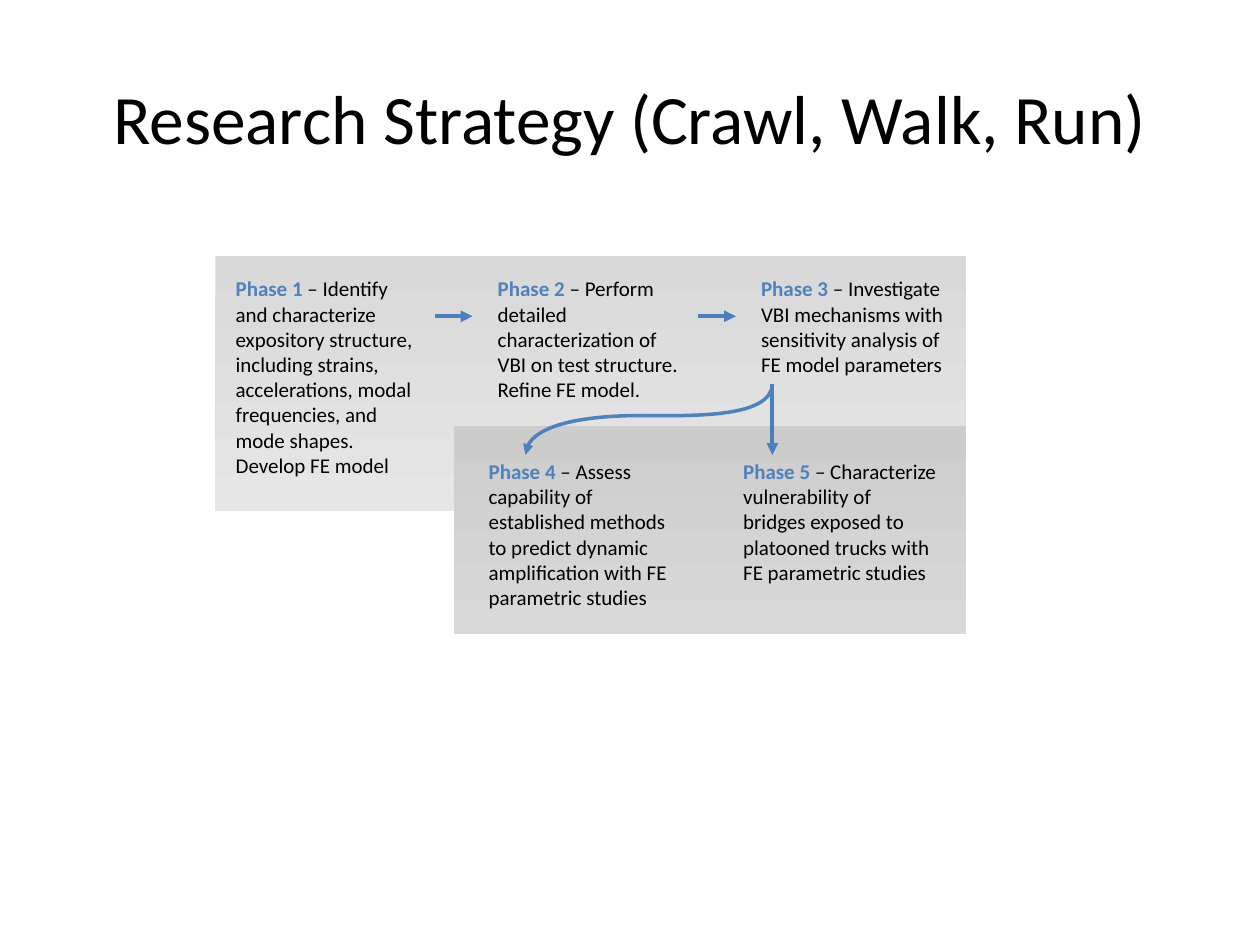
from dataclasses import dataclass

from lxml.etree import SubElement
from pptx import Presentation
from pptx.dml.color import RGBColor
from pptx.enum.shapes import MSO_CONNECTOR, MSO_SHAPE
from pptx.enum.text import MSO_ANCHOR, MSO_AUTO_SIZE, PP_ALIGN
from pptx.oxml.ns import qn
from pptx.shapes.base import BaseShape
from pptx.shapes.shapetree import GroupShapes
from pptx.text.text import Font
from pptx.util import Pt

SCALE = 9144
FONT = "Calibri"
COLORS = {
    "text": "000000",
    "phase": "4F81BD",
    "arrow": "4B7EBC",
    "curve": "4F81BD",
    "light": "E6E6E6",
    "mid": "D9D9D9",
    "dark": "CCCCCC",
}


@dataclass
class Panel:
    left: int
    top: int
    width: int
    height: int
    start: str
    end: str


@dataclass
class Phase:
    label: str
    text: str
    left: int
    top: int
    width: int
    height: int
    inset: int


@dataclass
class Arrow:
    x1: int
    y1: int
    x2: int
    y2: int


PANELS = [
    Panel(171, 203, 596, 203, "mid", "light"),
    Panel(360, 338, 407, 165, "dark", "mid"),
]
PHASES = [
    Phase("Phase 1", " – Identify and characterize expository structure, including strains, "
          "accelerations, modal frequencies, and mode shapes. Develop FE model",
          167, 214, 179, 75, 20),
    Phase("Phase 2", " – Perform detailed characterization of VBI on test structure. "
          "Refine FE model.", 375, 214, 179, 59, 20),
    Phase("Phase 3", " – Investigate VBI mechanisms with sensitivity analysis of "
          "FE model parameters", 584, 214, 179, 59, 20),
    Phase("Phase 4", " – Assess capability of established methods to predict dynamic "
          "amplification with FE parametric studies", 378, 359, 174, 59, 10),
    Phase("Phase 5", " – Characterize vulnerability of bridges exposed to platooned trucks "
          "with FE parametric studies", 580, 359, 174, 59, 10),
]
ARROWS = [
    Arrow(345, 251, 375, 251),
    Arrow(554, 251, 584, 251),
    Arrow(613, 305, 613, 361),
]
START = (613, 305)
BENDS = [
    ((612, 330), (558, 330), (521, 330)),
    ((483, 329), (418, 333), (417, 361)),
]


def px(size: int) -> int:
    return size * SCALE


def color(name: str) -> RGBColor:
    return RGBColor.from_string(COLORS[name])


def style_font(font: Font, size: float, name: str, bold: bool = False) -> None:
    font.name = FONT
    font.size = Pt(size)
    font.bold = bold
    font.color.rgb = color(name)


def style_line(shape: BaseShape, name: str, width: float) -> None:
    shape.line.color.rgb = color(name)
    shape.line.width = Pt(width)
    line = shape.element.spPr.find(qn("a:ln"))
    SubElement(line, qn("a:tailEnd"), type="triangle")


def draw_panel(shapes: GroupShapes, panel: Panel) -> None:
    shape = shapes.add_shape(MSO_SHAPE.RECTANGLE, px(panel.left), px(panel.top),
                             px(panel.width), px(panel.height))
    shape.shadow.inherit = False
    shape.line.fill.background()
    shape.fill.gradient()
    shape.fill.gradient_angle = 270
    for stop, name in zip(shape.fill.gradient_stops, (panel.start, panel.end)):
        stop.color.rgb = color(name)


def draw_phase(shapes: GroupShapes, phase: Phase) -> None:
    box = shapes.add_textbox(px(phase.left), px(phase.top), px(phase.width), px(phase.height))
    frame = box.text_frame
    frame.word_wrap = True
    frame.auto_size = MSO_AUTO_SIZE.SHAPE_TO_FIT_TEXT
    frame.margin_left = px(phase.inset)
    label, body = frame.paragraphs[0].add_run(), frame.paragraphs[0].add_run()
    label.text, body.text = phase.label, phase.text
    style_font(label.font, 12, "phase", True)
    style_font(body.font, 12, "text")


def draw_arrow(shapes: GroupShapes, arrow: Arrow) -> None:
    line = shapes.add_connector(MSO_CONNECTOR.STRAIGHT, px(arrow.x1), px(arrow.y1),
                                px(arrow.x2), px(arrow.y2))
    style_line(line, "arrow", 2.25)
    SubElement(line.element.spPr, qn("a:effectLst"))


def draw_curve(shapes: GroupShapes) -> None:
    pen = shapes.build_freeform(*START, scale=SCALE)
    pen.add_line_segments([bend[-1] for bend in BENDS], close=False)
    curve = pen.convert_to_shape()
    left, top = BENDS[-1][-1][0], START[1]
    for step, bend in zip(list(curve.element.iter(qn("a:lnTo"))), BENDS):
        step.tag = qn("a:cubicBezTo")
        for child in list(step):
            step.remove(child)
        for x, y in bend:
            SubElement(step, qn("a:pt"), x=str(x - left), y=str(y - top))
    curve.shadow.inherit = False
    curve.fill.background()
    style_line(curve, "curve", 2)


def main() -> None:
    deck = Presentation()
    deck.slide_width, deck.slide_height = px(1000), px(750)
    slide = deck.slides.add_slide(deck.slide_layouts[5])

    title = slide.shapes.title
    title.left, title.top, title.width, title.height = map(px, (50, 30, 900, 125))
    frame = title.text_frame
    frame.text = "Research Strategy (Crawl, Walk, Run)"
    frame.vertical_anchor = MSO_ANCHOR.MIDDLE
    frame.paragraphs[0].alignment = PP_ALIGN.CENTER
    style_font(frame.paragraphs[0].runs[0].font, 39.6, "text")

    shapes = slide.shapes.add_group_shape().shapes
    for panel in PANELS:
        draw_panel(shapes, panel)
    for phase in PHASES:
        draw_phase(shapes, phase)
    for arrow in ARROWS:
        draw_arrow(shapes, arrow)
    draw_curve(shapes)
    deck.save("out.pptx")


if __name__ == "__main__":
    main()
